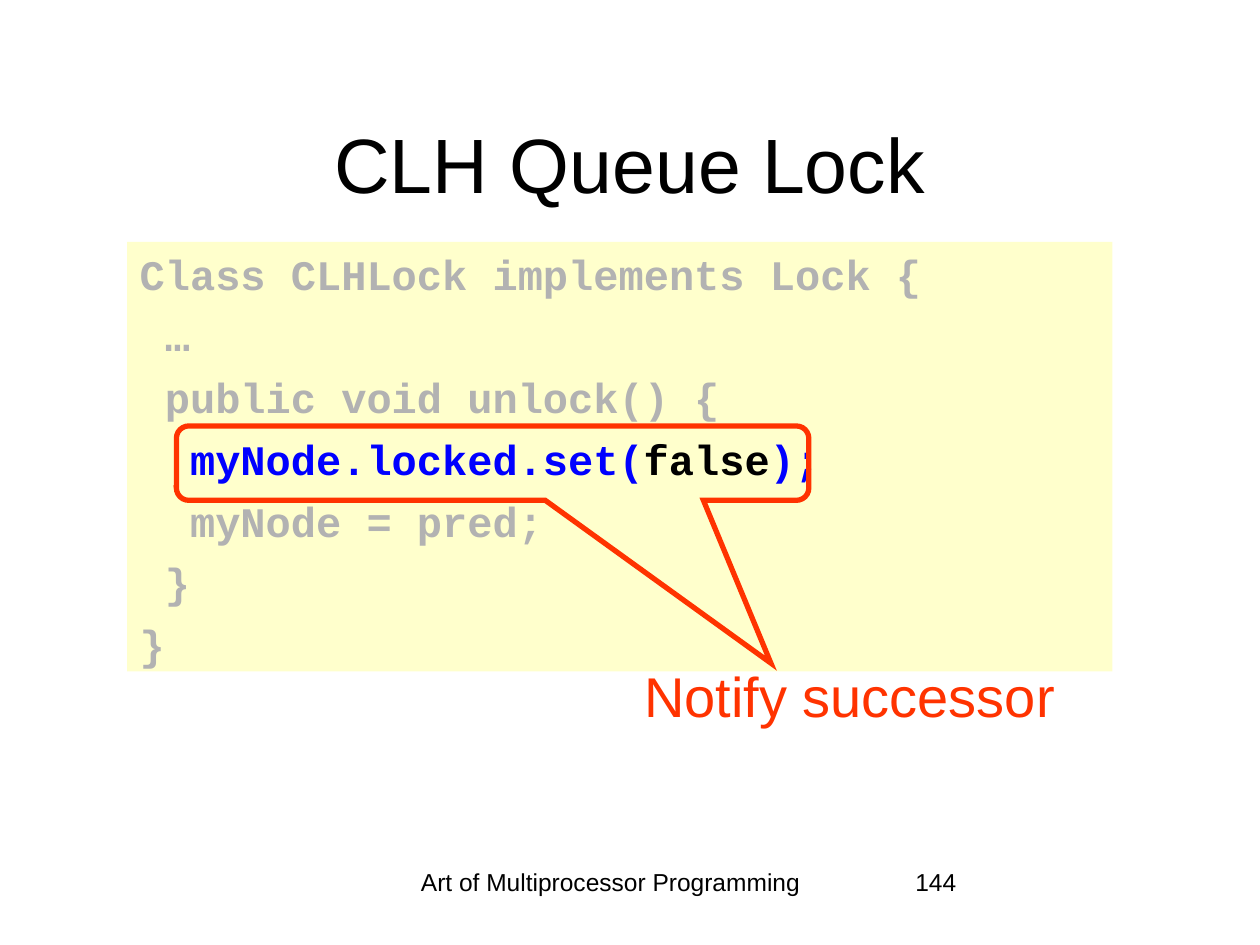
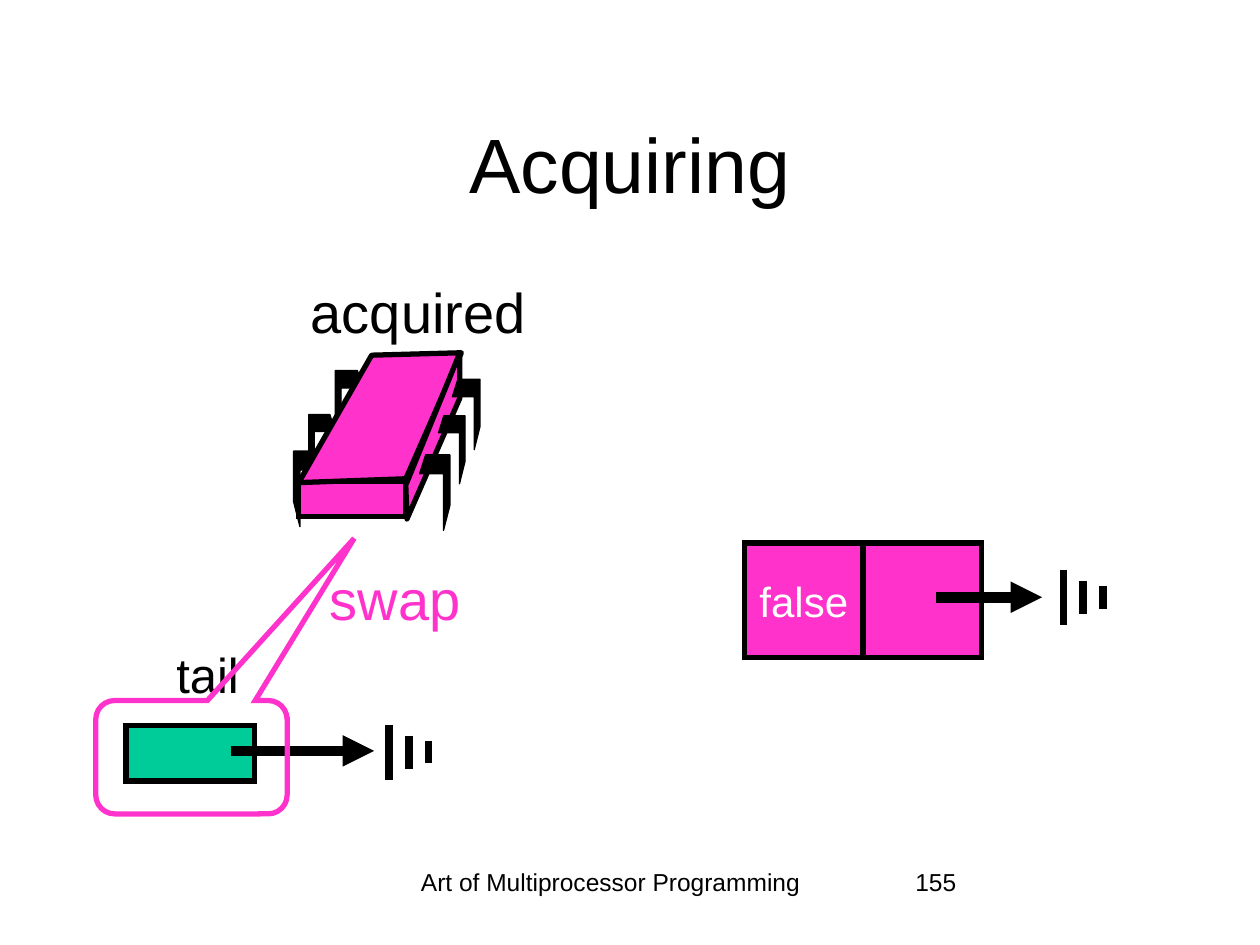
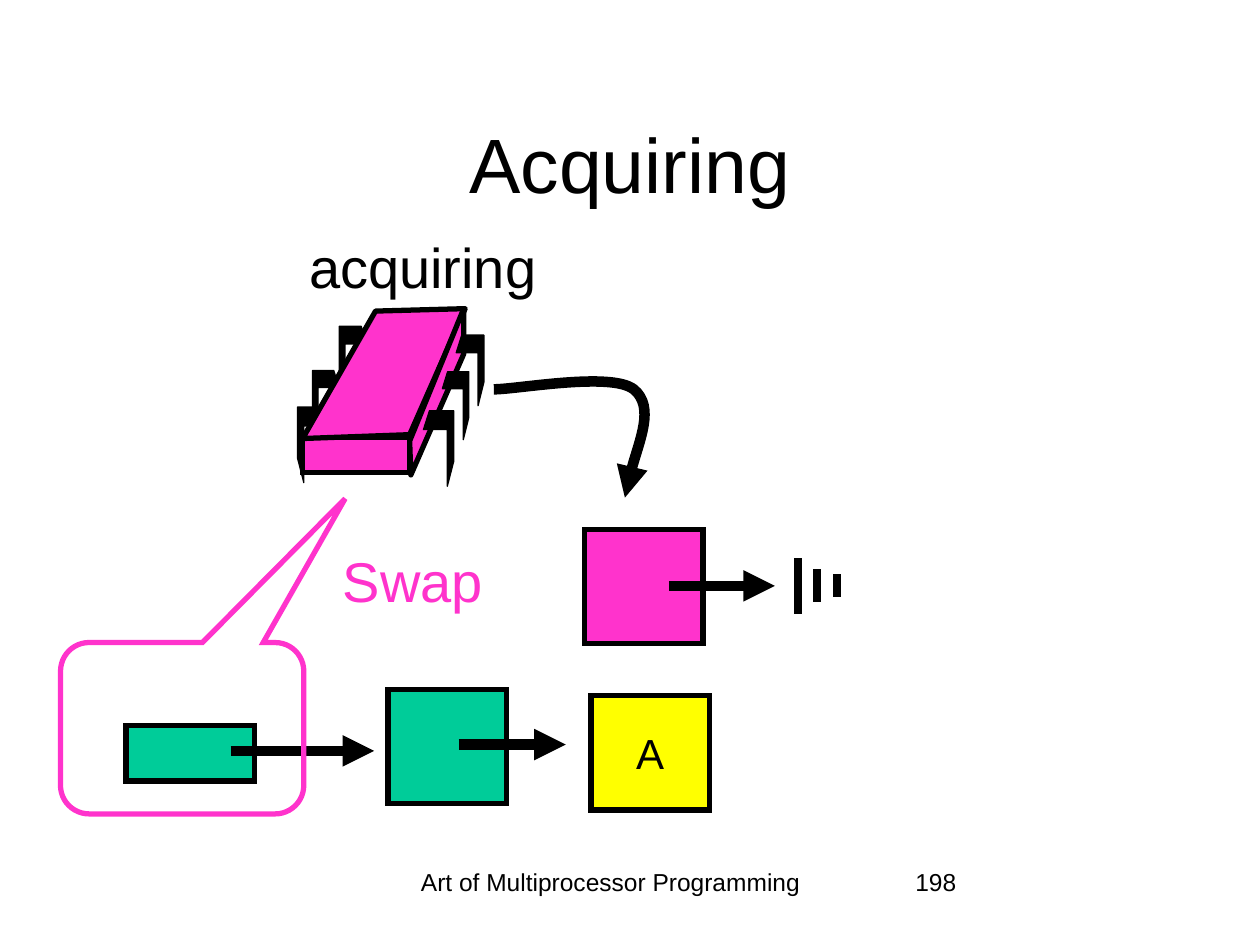
import pptx
import pptx.util
import pptx.dml.color
import pptx.enum.shapes
import pptx.enum.text
import pptx.oxml
import pptx.oxml.ns
from lxml import etree

Pt = pptx.util.Pt
SHAPE = pptx.enum.shapes.MSO_SHAPE
ALIGN = pptx.enum.text.PP_ALIGN
ANCHOR = pptx.enum.text.MSO_ANCHOR
qn = pptx.oxml.ns.qn

BLACK, WHITE, GREY, BLUE = "000000", "FFFFFF", "B2B2B2", "0000FF"
RED, PINK, GREEN, YELLOW, CREAM = "FF3300", "FF33CC", "00CC99", "FFFF00", "FFFFCC"

# Content; every length is in points
FOOTER = "Art of Multiprocessor Programming"
CODE_BOX = (72.7, 138.2, 563, 245.5)
CODE_INDENT = 14.4
CODE = [  # indent level, coloured pieces
    (0, [("Class CLHLock implements Lock {", GREY)]),
    (1, [("…", GREY)]),
    (1, [("public void unlock() {", GREY)]),
    (2, [("myNode.locked.set(", BLUE), ("false", BLACK), (");", BLUE)]),
    (2, [("myNode = pred;", GREY)]),
    (1, [("}", GREY)]),
    (0, [("}", GREY)]),
]

NODE = (67.7, 65.5)
TAIL_BOX = (72, 414.7, 73.4, 31.7)
TAIL_ARROW = (131.8, 429.1, 82)
SLIDES = [
    {"title": "CLH Queue Lock", "number": "144", "code": CODE,
     "callout": ((100.8, 243.4, 361.4, 42.5), (0.44, 2.69), RED),
     "labels": [("Notify successor", (324.7, 374.4, 321.8, 45.4), 32, RED)]},
    {"title": "Acquiring", "number": "155", "chip": (167.8, 201.6),
     "boxes": [(TAIL_BOX, GREEN, "", BLACK),
               ((425.5, 310.3, *NODE), PINK, "false", WHITE),
               ((493.2, 310.3, *NODE), PINK, "", BLACK)],
     "arrows": [TAIL_ARROW, (535, 341.3, 60.5)],
     "nulls": [(222.5, 429.8), (607.7, 341.3)],
     "callout": ((54.7, 400.3, 109.4, 64.8), (0.85, -1.93), PINK),
     "labels": [("tail", (78.6, 365, 80, 41), 28, BLACK),
                ("acquired", (168.5, 154.8, 141.1, 45.4), 32, BLACK),
                ("swap", (139.7, 319, 172.1, 45.4), 32, PINK)]},
    {"title": "Acquiring", "number": "198", "chip": (170, 176.4),
     "boxes": [((221.8, 393.8, *NODE), GREEN, "", BLACK),
               (TAIL_BOX, GREEN, "", BLACK),
               ((337.7, 397.4, *NODE), YELLOW, "A", BLACK),
               ((334.1, 302.4, *NODE), PINK, "", BLACK)],
     "arrows": [TAIL_ARROW, (262.1, 425.5, 61.2), (382.3, 334.8, 60.5)],
     "curve": [(282.2, 222.5), (295.9, 222.5), (349.2, 212.4), (362.2, 222.5),
               (374.4, 232.6), (358.6, 271.4), (357.1, 284.4)],
     "nulls": [(455.8, 334.8)],
     "callout": ((34.6, 367.2, 139, 97.9), (0.67, -1.34), PINK),
     "labels": [("acquiring", (167.8, 129.6, 147.6, 45.4), 32, BLACK),
                ("Swap", (176, 308.9, 120, 46), 32, PINK)]},
]

# Chip parts, relative to its top left corner
CHIP_FRONT = (2.9, 73.4, 61.2, 20.2)
CHIP_TOP = [(2.9, 74.2), (64.1, 72), (95.8, 0), (44.6, 1.4)]
CHIP_SIDE = [(95, 0), (95, 25.9), (64.8, 95), (64.1, 75.6)]
LEG = [(0.8, 0), (0, 0), (0, 0.67), (0.21, 1), (0.21, 0.25), (1, 0.25)]
LEG_SIZES = [(17.3, 43.2), (15.1, 38.9), (15.8, 40.3)]
LEFT_LEGS = [(0, 56.2), (8.6, 35.3), (23.8, 10.1)]
RIGHT_LEGS = [(72, 58.3), (82.8, 36), (90.7, 15.1)]

NULL_STEP = 11.2
NULL_HALVES = [15.8, 9.4, 6.5]


def rgb(value):
    return pptx.dml.color.RGBColor.from_string(value)


def write(p, text, size=32, color=BLACK, font="Arial", bold=False, align=ALIGN.CENTER):
    p.alignment = align
    r = p.add_run()
    r.text = text
    r.font.size, r.font.name, r.font.bold = Pt(size), font, bold
    r.font.color.rgb = rgb(color)


def label(slide, text, box, **fmt):
    sp = slide.shapes.add_textbox(*map(Pt, box))
    sp.text_frame.word_wrap = True
    write(sp.text_frame.paragraphs[0], text, **fmt)


def style(sp, fill=None, line=None, width=3, join="miter"):
    sp.shadow.inherit = False
    if fill:
        sp.fill.solid()
        sp.fill.fore_color.rgb = rgb(fill)
    else:
        sp.fill.background()
    if line:
        sp.line.color.rgb = rgb(line)
        sp.line.width = Pt(width)
        etree.SubElement(sp.line._get_or_add_ln(), qn("a:" + join))
    else:
        sp.line.fill.background()


def add_shape(shapes, kind, box, **look):
    sp = shapes.add_shape(kind, *map(Pt, box))
    style(sp, **look)
    return sp


def outline(shapes, points, close=True, **look):
    pts = [(Pt(x), Pt(y)) for x, y in points]
    builder = shapes.build_freeform(*pts[0])
    builder.add_line_segments(pts[1:], close=close)
    sp = builder.convert_to_shape()
    style(sp, **look)
    return sp


def arrowhead(line):
    etree.SubElement(line._get_or_add_ln(), qn("a:tailEnd"), type="triangle")


def add_line(shapes, x1, y1, x2, y2, width):
    c = shapes.add_connector(pptx.enum.shapes.MSO_CONNECTOR.STRAIGHT,
                             Pt(x1), Pt(y1), Pt(x2), Pt(y2))
    c.line.color.rgb = rgb(BLACK)
    c.line.width = Pt(width)
    etree.SubElement(c._element.spPr, qn("a:effectLst"))
    return c


def curved_arrow(shapes, points):
    sp = outline(shapes, points, close=False, line=BLACK, width=6, join="round")
    # Each three line segments become one Bezier segment
    segments = list(sp._element.iter(qn("a:lnTo")))
    for i in range(0, len(segments), 3):
        bezier = etree.Element(qn("a:cubicBezTo"))
        segments[i].addprevious(bezier)
        for seg in segments[i:i + 3]:
            bezier.append(seg[0])
            seg.getparent().remove(seg)
    arrowhead(sp.line)


def null_mark(slide, x, y):
    shapes = slide.shapes.add_group_shape().shapes
    for i, half in enumerate(NULL_HALVES):
        bar = x + i * NULL_STEP
        add_line(shapes, bar, y - half, bar, y + half, 4.5)


def chip(slide, x, y):
    shapes = slide.shapes.add_group_shape().shapes

    def legs(corners, flip):
        for (left, top), (w, h) in zip(corners, LEG_SIZES):
            points = [(x + left + w * (1 - u if flip else u), y + top + h * v)
                      for u, v in LEG]
            outline(shapes, points, fill=BLACK, line=BLACK, width=0.75, join="round")

    left, top, w, h = CHIP_FRONT
    add_shape(shapes, SHAPE.RECTANGLE, (x + left, y + top, w, h), fill=PINK, line=BLACK)
    legs(LEFT_LEGS, False)
    for face in (CHIP_TOP, CHIP_SIDE):
        outline(shapes, [(x + u, y + v) for u, v in face],
                fill=PINK, line=BLACK, join="round")
    legs(RIGHT_LEGS, True)


def code_panel(slide, lines):
    tf = add_shape(slide.shapes, SHAPE.RECTANGLE, CODE_BOX, fill=CREAM).text_frame
    tf.vertical_anchor = ANCHOR.TOP
    for i, (level, pieces) in enumerate(lines):
        p = tf.add_paragraph() if i else tf.paragraphs[0]
        p.space_before = Pt(6.5)
        p._p.get_or_add_pPr().set("marL", str(Pt(level * CODE_INDENT)))
        for text, color in pieces:
            write(p, text, size=24, color=color, font="Courier New", bold=True,
                  align=ALIGN.LEFT)


def frame(prs, title, number):
    slide = prs.slides.add_slide(prs.slide_layouts[5])
    sp = slide.shapes.title
    sp.left, sp.top, sp.width, sp.height = map(Pt, (54, 48, 612, 90))
    sp.text_frame.vertical_anchor = ANCHOR.MIDDLE
    write(sp.text_frame.paragraphs[0], title, size=44)
    label(slide, FOOTER, (208, 492, 282, 36), size=14)
    label(slide, number, (516, 492, 150, 36), size=14, align=ALIGN.LEFT)
    return slide


def build(prs, data):
    slide = frame(prs, data["title"], data["number"])
    shapes = slide.shapes
    if "code" in data:
        code_panel(slide, data["code"])
    # Queue nodes and pointers
    for box, fill, text, color in data.get("boxes", []):
        sp = add_shape(shapes, SHAPE.RECTANGLE, box, fill=fill, line=BLACK)
        if text:
            sp.text_frame.word_wrap = False
            sp.text_frame.vertical_anchor = ANCHOR.MIDDLE
            write(sp.text_frame.paragraphs[0], text, size=24, color=color)
    for x, y, length in data.get("arrows", []):
        arrowhead(add_line(shapes, x, y, x + length, y, 6).line)
    for x, y in data.get("nulls", []):
        null_mark(slide, x, y)
    if "chip" in data:
        chip(slide, *data["chip"])
    if "curve" in data:
        curved_arrow(shapes, data["curve"])
    # Labels and callout
    for text, box, size, color in data["labels"]:
        label(slide, text, box, size=size, color=color)
    box, tip, color = data["callout"]
    sp = add_shape(shapes, SHAPE.ROUNDED_RECTANGULAR_CALLOUT, box, line=color)
    sp.adjustments[0], sp.adjustments[1] = tip


def main():
    prs = pptx.Presentation()
    prs.slide_width, prs.slide_height = Pt(720), Pt(540)
    for data in SLIDES:
        build(prs, data)
    prs.save("out.pptx")


if __name__ == "__main__":
    main()
